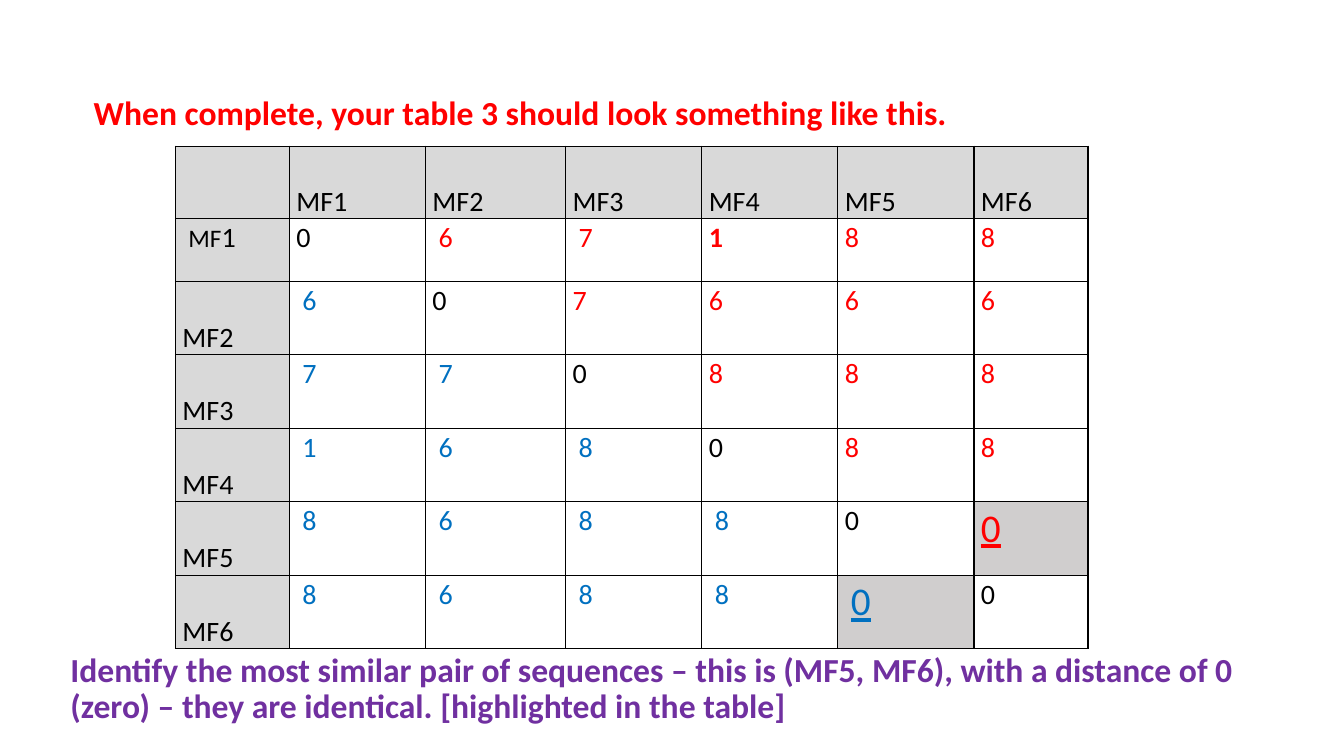
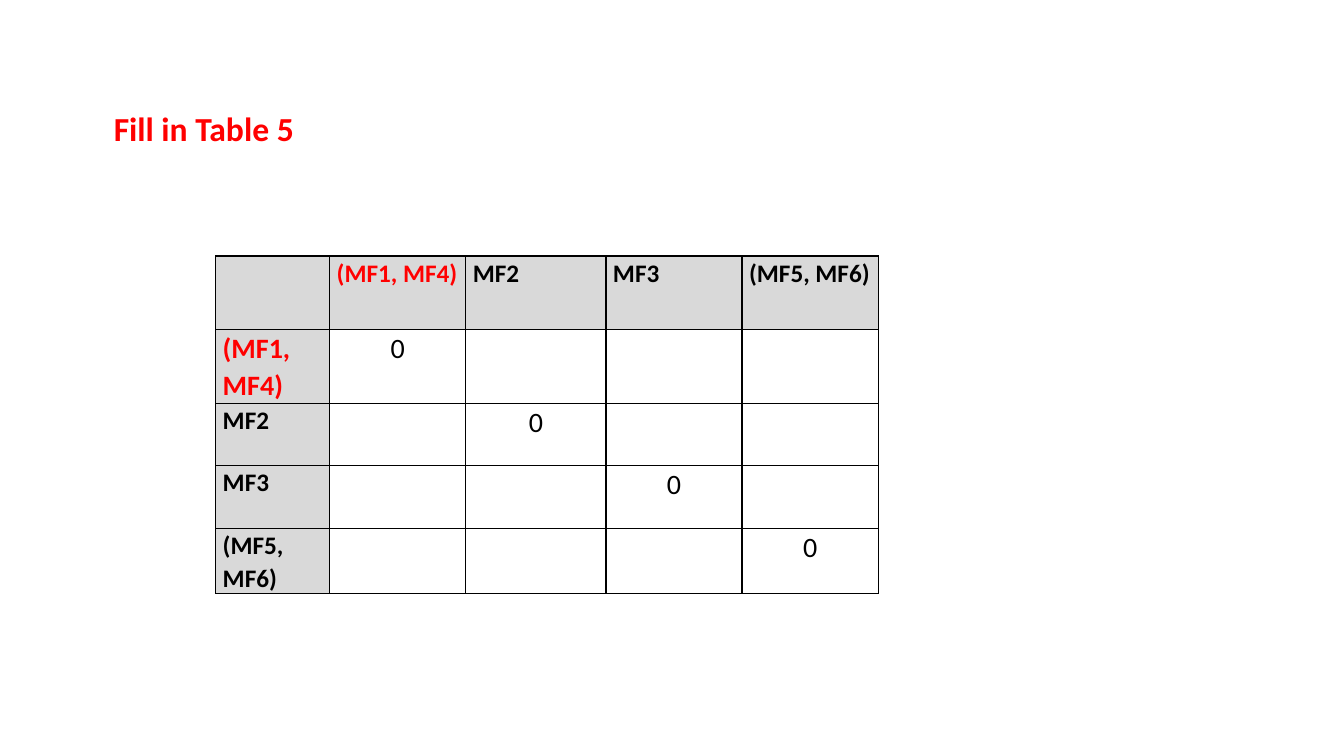
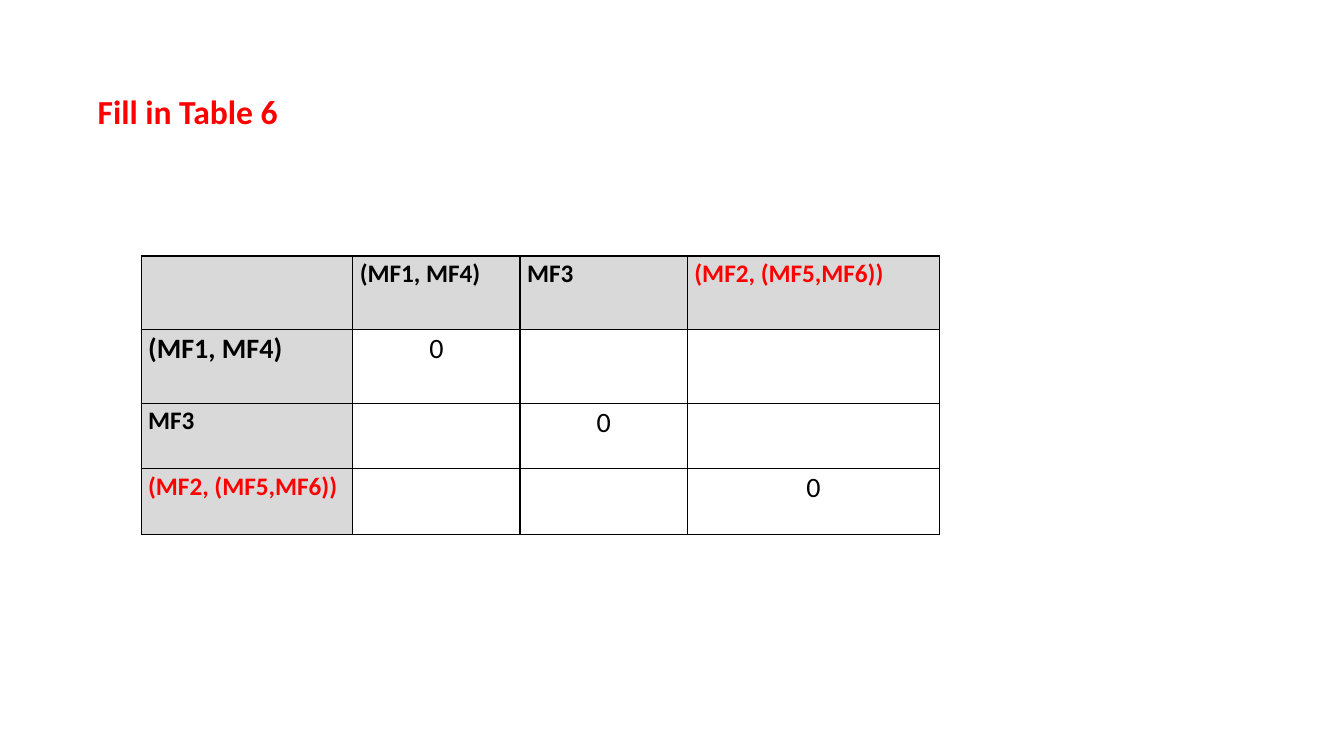
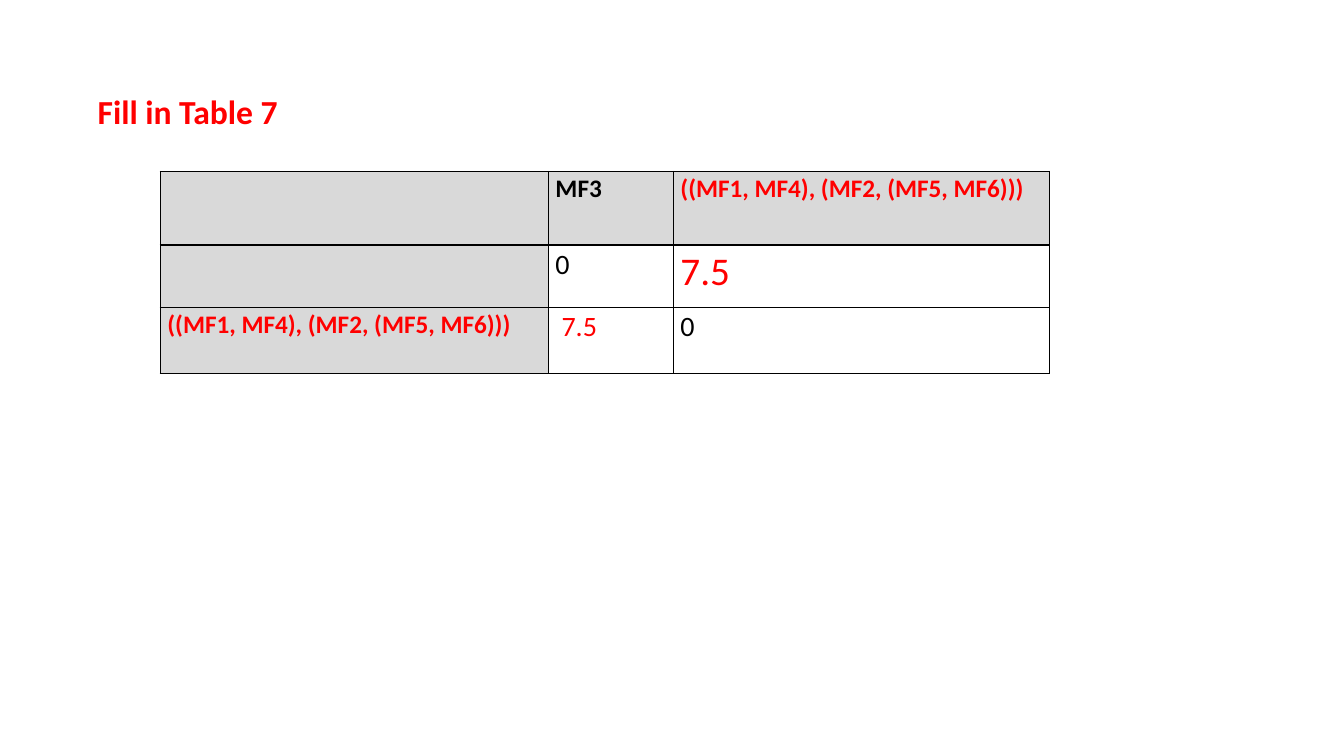
from dataclasses import dataclass

from lxml import etree
from pptx import Presentation
from pptx.dml.color import RGBColor
from pptx.enum.text import MSO_ANCHOR, MSO_AUTO_SIZE, PP_ALIGN
from pptx.oxml.ns import qn
from pptx.util import Emu, Inches, Pt

TOP, BOTTOM = MSO_ANCHOR.TOP, MSO_ANCHOR.BOTTOM
LEFT, CENTER = PP_ALIGN.LEFT, PP_ALIGN.CENTER
GROW = MSO_AUTO_SIZE.SHAPE_TO_FIT_TEXT
SLIDE_W, SLIDE_H = Inches(13.33), Inches(7.5)


@dataclass(frozen=True)
class Theme:
    font: str = "Calibri"
    ink: str = "000000"
    red: str = "FF0000"
    blue: str = "0070C0"
    purple: str = "7030A0"
    header: str = "D9D9D9"
    highlight: str = "D0CECE"
    small: int = 18
    body: int = 20
    heading: int = 24
    large: int = 28
    border: int = 1
    table_leading: float = 1.07
    text_leading: float = 0.9
    inset: float = 0.07
    indent: float = 0.13


THEME = Theme()


@dataclass(frozen=True)
class Run:
    text: str
    size: int = THEME.body
    color: str = THEME.ink
    bold: bool = False
    underline: bool = False


@dataclass(frozen=True)
class Cell:
    runs: tuple[Run, ...] = ()
    fill: str | None = None
    align: PP_ALIGN = LEFT
    anchor: MSO_ANCHOR = TOP
    indented: bool = False


@dataclass(frozen=True)
class Caption:
    """Position and size in percent of the slide."""
    text: str
    left: float
    top: float
    width: float
    height: float = 6.13
    color: str = THEME.red


@dataclass(frozen=True)
class DistanceTable:
    """Position, columns and rows in percent of the slide."""
    left: float
    top: float
    columns: tuple[float, ...]
    rows: tuple[float, ...]
    cells: list[list[Cell]]


def across(percent: float) -> Emu:
    return Emu(round(SLIDE_W * percent / 100))


def down(percent: float) -> Emu:
    return Emu(round(SLIDE_H * percent / 100))


# Drawing
def write(paragraph, runs: tuple[Run, ...], leading: float) -> None:
    paragraph.line_spacing = leading
    for part in runs:
        run = paragraph.add_run()
        run.text = part.text
        run.font.color.rgb = RGBColor.from_string(part.color)
        look = {"name": THEME.font, "size": Pt(part.size),
                "bold": part.bold, "underline": part.underline}
        for attribute, value in look.items():
            setattr(run.font, attribute, value)


def add_caption(slide, caption: Caption) -> None:
    box = slide.shapes.add_textbox(across(caption.left), down(caption.top),
                                   across(caption.width), down(caption.height))
    frame = box.text_frame
    frame.word_wrap = True
    frame.auto_size = GROW
    run = Run(caption.text, THEME.heading, caption.color, bold=True)
    write(frame.paragraphs[0], (run,), THEME.text_leading)


def add_borders(target) -> None:
    properties = target._tc.get_or_add_tcPr()
    for position, side in enumerate(("lnL", "lnR", "lnT", "lnB")):
        line = etree.Element(qn(f"a:{side}"), w=str(Pt(THEME.border)))
        fill = etree.SubElement(line, qn("a:solidFill"))
        etree.SubElement(fill, qn("a:srgbClr"), val=THEME.ink)
        properties.insert(position, line)


def fill_cell(target, cell: Cell) -> None:
    left = THEME.indent if cell.indented else THEME.inset
    layout = {"margin_left": Inches(left), "margin_right": Inches(THEME.inset),
              "margin_top": 0, "margin_bottom": 0,
              "vertical_anchor": cell.anchor}
    for attribute, value in layout.items():
        setattr(target, attribute, value)
    if cell.fill:
        target.fill.solid()
        target.fill.fore_color.rgb = RGBColor.from_string(cell.fill)
    else:
        target.fill.background()
    add_borders(target)
    paragraph = target.text_frame.paragraphs[0]
    paragraph.alignment = cell.align
    write(paragraph, cell.runs, THEME.table_leading)


def add_distance_table(slide, spec_table: DistanceTable) -> None:
    columns, rows = spec_table.columns, spec_table.rows
    table = slide.shapes.add_table(
        len(rows), len(columns), across(spec_table.left), down(spec_table.top),
        across(sum(columns)), down(sum(rows))).table
    table.first_row = table.horz_banding = False
    for column, width in zip(table.columns, columns):
        column.width = across(width)
    for row, height in zip(table.rows, rows):
        row.height = down(height)
    for r, row_cells in enumerate(spec_table.cells):
        for c, cell in enumerate(row_cells):
            fill_cell(table.cell(r, c), cell)


# Table contents
def distance_cells() -> list[list[Cell]]:
    """Complete matrix: red above the diagonal, blue below it."""
    distances = ("067188", "607666", "770888", "168088", "868800", "868800")
    names = [f"MF{n}" for n in range(1, 7)]
    labels = [Cell((Run(name),), THEME.header, anchor=BOTTOM) for name in names]
    first_label = Cell((Run("MF", THEME.small), Run("1")), THEME.header,
                       indented=True)
    rows = [[Cell(fill=THEME.header), *labels]]
    for r, values in enumerate(distances):
        row = [labels[r] if r else first_label]
        for c, value in enumerate(values):
            closest = {r, c} == {4, 5}
            color = THEME.ink if r == c else THEME.red if c > r else THEME.blue
            run = Run(value, THEME.large if closest else THEME.body, color,
                      bold=(r, c) == (0, 3), underline=closest)
            row.append(Cell((run,), THEME.highlight if closest else None,
                            indented=c < r or (r, c) in ((0, 1), (0, 2))))
        rows.append(row)
    return rows


def cluster_cells(names: list[str], merged: str) -> list[list[Cell]]:
    """Empty matrix with zeros on the diagonal; the merged cluster is red."""
    def label(name: str, size: int = THEME.small) -> Cell:
        color = THEME.red if name == merged else THEME.ink
        return Cell((Run(name, size, color, bold=True),), THEME.header)

    zero = Cell((Run("0"),), align=CENTER)
    rows = [[Cell(fill=THEME.header), *map(label, names)]]
    for r, name in enumerate(names):
        size = THEME.small if r else THEME.body
        values = [zero if c == r else Cell() for c in range(len(names))]
        rows.append([label(name, size), *values])
    return rows


def final_cells() -> list[list[Cell]]:
    corner, zero = Cell(fill=THEME.header), Cell((Run("0"),))
    outgroup = Cell((Run("MF3", THEME.small, bold=True),), THEME.header)
    cluster = Cell((Run("((MF1, MF4), (MF2, (MF5, MF6)))", THEME.small,
                        THEME.red, bold=True),), THEME.header)
    upper = Cell((Run("7.5", THEME.large, THEME.red),))
    lower = Cell((Run("7.5", color=THEME.red),), indented=True)
    return [[corner, outgroup, cluster],
            [corner, zero, upper],
            [cluster, lower, zero]]


# Slides
NARROW, MIDDLE, WIDE = 8.48, 10.13, 10.43
LOW, TALL = 8.27, 9.73

SLIDES: list[tuple[DistanceTable, list[Caption]]] = [
    (DistanceTable(13.05, 19.33,
                   (NARROW, MIDDLE, WIDE, MIDDLE, MIDDLE, MIDDLE, NARROW),
                   (9.6, LOW, *[TALL] * 5), distance_cells()),
     [Caption("When complete, your table 3 should look something like this.",
              6.23, 12.13, 97.97),
      Caption("Identify the most similar pair of sequences – this is (MF5, MF6), "
              "with a distance of 0 (zero) – they are identical. "
              "[highlighted in the table]",
              4.5, 85.73, 89.12, 11.07, THEME.purple)]),
    (DistanceTable(16.05, 33.87, (NARROW, MIDDLE, WIDE, MIDDLE, MIDDLE),
                   (TALL, TALL, LOW, LOW, 8.7),
                   cluster_cells(["(MF1, MF4)", "MF2", "MF3", "(MF5, MF6)"],
                                 merged="(MF1, MF4)")),
     [Caption("Fill in Table 5", 7.73, 14.27, 60.92)]),
    (DistanceTable(10.5, 33.87, (15.75, 12.45, 12.45, 18.75),
                   (TALL, TALL, 8.7, 8.7),
                   cluster_cells(["(MF1, MF4)", "MF3", "(MF2, (MF5,MF6))"],
                                 merged="(MF2, (MF5,MF6))")),
     [Caption("Fill in Table 6", 6.53, 12, 60.92)]),
    (DistanceTable(11.93, 22.67, (28.88, 9.3, 27.98), (TALL, LOW, 8.7),
                   final_cells()),
     [Caption("Fill in Table 7", 6.53, 12, 60.92)]),
]


def main() -> None:
    deck = Presentation()
    deck.slide_width, deck.slide_height = SLIDE_W, SLIDE_H
    blank = deck.slide_layouts[6]
    for distance_table, captions in SLIDES:
        slide = deck.slides.add_slide(blank)
        add_distance_table(slide, distance_table)
        for caption in captions:
            add_caption(slide, caption)
    deck.save("out.pptx")


if __name__ == "__main__":
    main()
